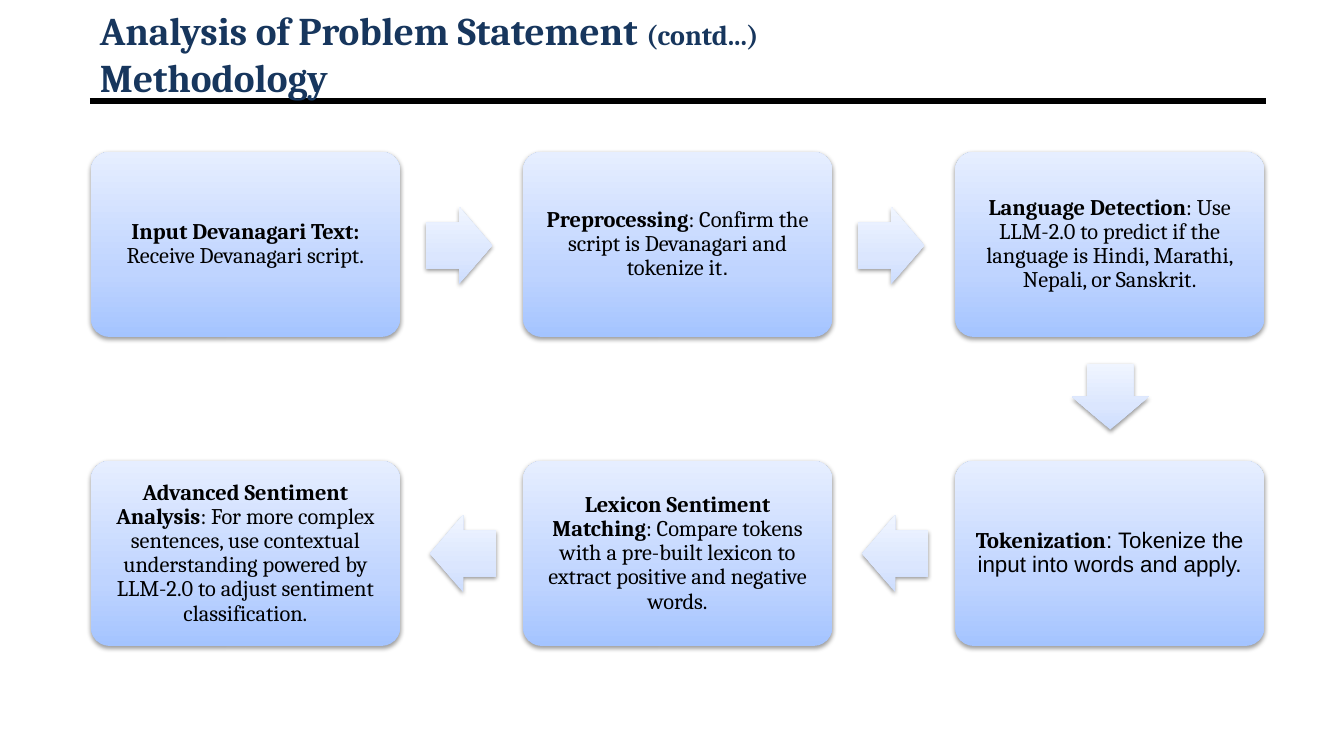
from pptx import Presentation
from pptx.dml.color import RGBColor
from pptx.enum.shapes import MSO_CONNECTOR, MSO_SHAPE
from pptx.enum.text import MSO_ANCHOR, PP_ALIGN
from pptx.oxml import parse_xml
from pptx.oxml.ns import nsdecls
from pptx.util import Inches, Pt

PX = 914400 / 100.8
COLORS = {
    "title": "17365D", "text": "000000", "rule": "000000", "shadow": "000000",
    "step": ["A4C4FF", "BFD4FF", "E6EEFF"],
    "arrow": ["CDDDFE", "DBE6FE", "F0F5FF"],
}


def add_run(paragraph, text, size, color, bold=True, font="Cambria"):
    run = paragraph.add_run()
    run.text = text
    for name, value in {"size": Pt(size), "bold": bold, "name": font}.items():
        setattr(run.font, name, value)
    run.font.color.rgb = RGBColor.from_string(COLORS[color])


def add_shaded(kind, box, adjustments, shades):
    shape = slide.shapes.add_shape(kind, *[round(v * PX) for v in box])
    for i, value in enumerate(adjustments):
        shape.adjustments[i] = value
    shape.line.fill.background()
    stops = "".join(
        f'<a:gs pos="{pos}"><a:srgbClr val="{shade}"/></a:gs>'
        for pos, shade in zip([0, 35000, 100000], COLORS[shades]))
    properties = shape.element.spPr
    properties.insert(2, parse_xml(
        f'<a:gradFill {nsdecls("a")} rotWithShape="0"><a:gsLst>{stops}</a:gsLst>'
        '<a:lin ang="16200000" scaled="0"/></a:gradFill>'))
    properties.append(parse_xml(
        f'<a:effectLst {nsdecls("a")}>'
        '<a:outerShdw blurRad="40000" dist="20000" dir="5400000" rotWithShape="0">'
        f'<a:srgbClr val="{COLORS["shadow"]}"><a:alpha val="38000"/></a:srgbClr>'
        '</a:outerShdw></a:effectLst>'))
    return shape


deck = Presentation()
deck.slide_width, deck.slide_height = Inches(13.33), Inches(7.5)
slide = deck.slides.add_slide(deck.slide_layouts[6])

rule = slide.shapes.add_connector(
    MSO_CONNECTOR.STRAIGHT, *[round(v * PX) for v in (90, 101, 1266, 101)])
rule.line.width = Pt(4.5)
rule.line.color.rgb = RGBColor.from_string(COLORS["rule"])
rule.element.spPr.append(parse_xml(f'<a:effectLst {nsdecls("a")}/>'))

title = slide.shapes.add_textbox(*[round(v * PX) for v in (90, 9, 1176, 88)])
title.text_frame.word_wrap = True
title.text_frame.vertical_anchor = MSO_ANCHOR.MIDDLE
heading = title.text_frame.paragraphs[0]
add_run(heading, "Analysis of Problem Statement ", 28, "title")
add_run(heading, "(contd...)", 20, "title")
heading.add_line_break()
add_run(heading, "Methodology", 28, "title")

LEFT, TOP, WIDTH, HEIGHT = 91, 152, 309, 185
COLUMN_PITCH, ROW_PITCH = 432, 309
ARROW_W, ARROW_H = 66, 77

steps = [
    (0, 0, "Input Devanagari Text: ", [("Receive Devanagari script.", "Cambria")]),
    (1, 0, "Preprocessing",
     [(": Confirm the script is Devanagari and tokenize it", "Cambria"), (".", "Arial")]),
    (2, 0, "Language Detection",
     [(": Use LLM-2.0 to predict if the language is Hindi, Marathi, Nepali, or Sanskrit.",
       "Cambria")]),
    (2, 1, "Tokenization", [(": Tokenize the input into words and apply.", "Arial")]),
    (1, 1, "Lexicon Sentiment Matching",
     [(": Compare tokens with a pre-built lexicon to extract positive and negative words.",
       "Cambria")]),
    (0, 1, "Advanced Sentiment Analysis",
     [(": For more complex sentences, use contextual understanding powered by LLM-2.0 "
       "to adjust sentiment classification.", "Cambria")]),
]
for column, row, name, details in steps:
    x, y = LEFT + column * COLUMN_PITCH, TOP + row * ROW_PITCH
    step = add_shaded(MSO_SHAPE.ROUNDED_RECTANGLE, (x, y, WIDTH, HEIGHT), [0.1], "step")
    frame = step.text_frame
    for side in ("left", "top", "right", "bottom"):
        setattr(frame, f"margin_{side}", round(7 * PX))
    frame.word_wrap = True
    frame.vertical_anchor = MSO_ANCHOR.MIDDLE
    paragraph = frame.paragraphs[0]
    paragraph.alignment = PP_ALIGN.CENTER
    paragraph.line_spacing = 0.9
    add_run(paragraph, name, 16, "text")
    for text, font in details:
        add_run(paragraph, text, 16, "text", False, font)

arrows = [(426, 207, 0), (426 + COLUMN_PITCH, 207, 0), (1077, 358, 90),
          (430 + COLUMN_PITCH, 515, 180), (430, 515, 180)]
for x, y, rotation in arrows:
    arrow = add_shaded(MSO_SHAPE.RIGHT_ARROW, (x, y, ARROW_W, ARROW_H), [0.6, 0.5], "arrow")
    arrow.rotation = rotation

deck.save("out.pptx")
